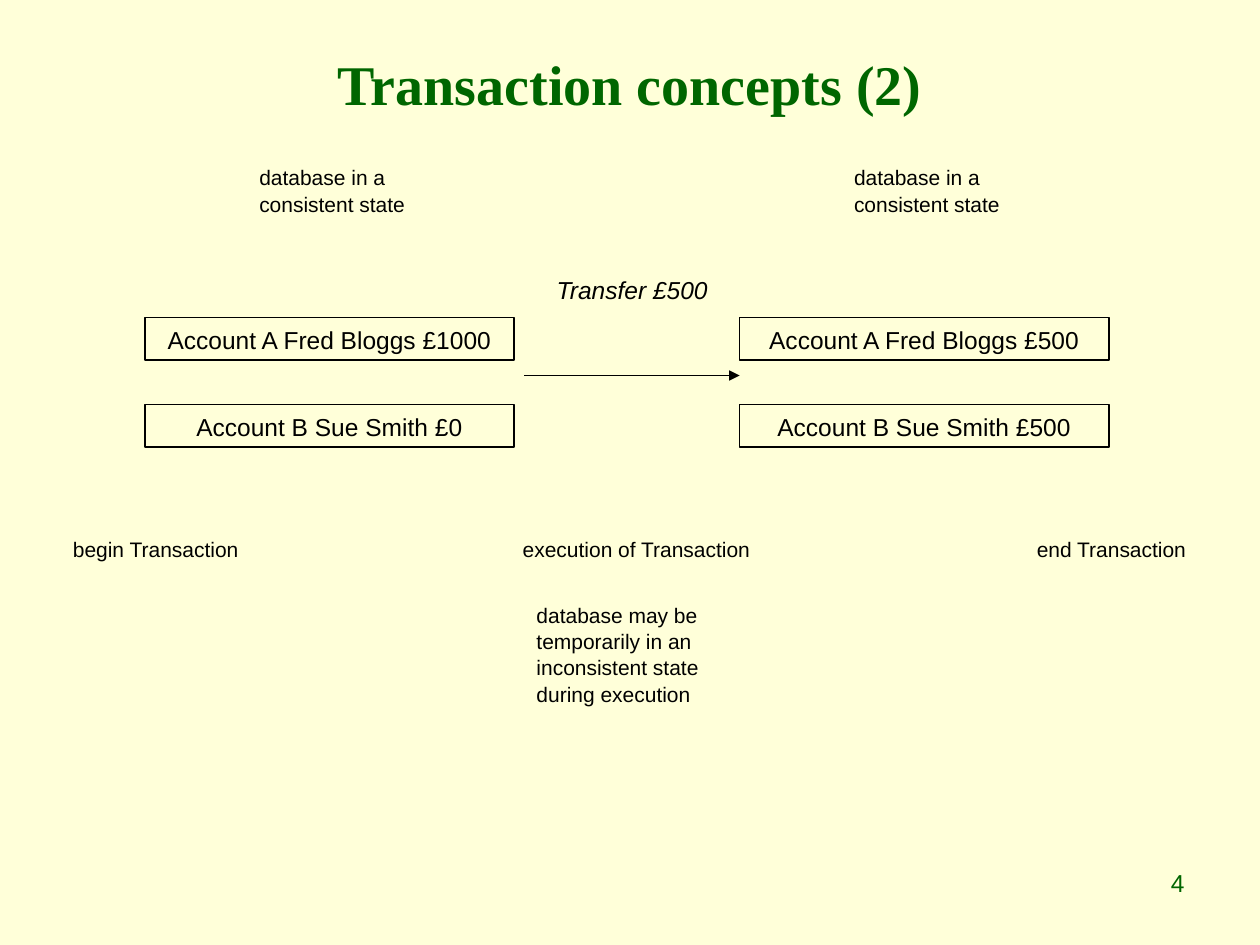
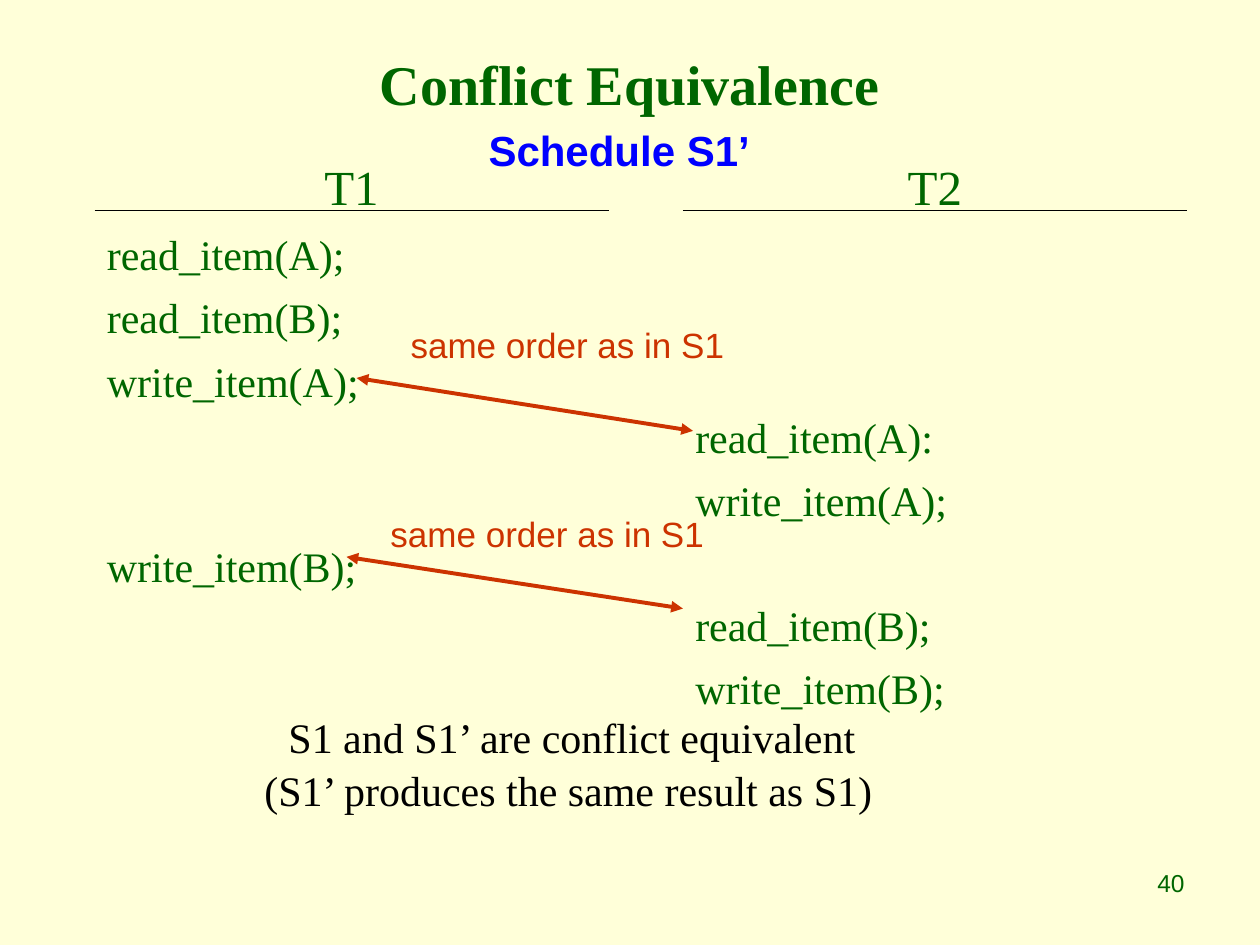
from pptx import Presentation
from pptx.dml.color import RGBColor
from pptx.enum.shapes import MSO_CONNECTOR, MSO_SHAPE
from pptx.enum.text import MSO_ANCHOR, PP_ALIGN
from pptx.oxml.ns import qn
from pptx.util import Inches, Pt
from lxml.etree import SubElement

CREAM = RGBColor(0xFF, 0xFF, 0xD9)
GREEN = RGBColor(0x00, 0x66, 0x00)
BLACK = RGBColor(0x00, 0x00, 0x00)
BLUE = RGBColor(0x00, 0x00, 0xFF)
RED = RGBColor(0xCC, 0x33, 0x00)

SANS, SERIF = "Arial", "Times New Roman"
LEFT, MID, RIGHT = PP_ALIGN.LEFT, PP_ALIGN.CENTER, PP_ALIGN.RIGHT

TITLE = dict(name=SERIF, size=Pt(32), bold=True)
NOTE = dict(name=SANS, size=Pt(12))
LABEL = dict(name=SANS, size=Pt(14))
MOVE = dict(name=SANS, size=Pt(14), italic=True)
HEAD = dict(name=SERIF, size=Pt(28))
STEP = dict(name=SERIF, size=Pt(24))
SUB = dict(name=SANS, size=Pt(24), bold=True)
ORDER = dict(name=SANS, size=Pt(20))

ROW = 34.9  # height of one schedule row in points
GAP = 6     # space above each step in points


def write(slide, at, lines, color=BLACK, wrap=True, edge=False):
    """Place a text box, or an outlined box; lines hold (text, style, align, space)."""
    place = [Inches(n) for n in at]
    if edge:
        shape = slide.shapes.add_shape(MSO_SHAPE.RECTANGLE, *place)
        shape.shadow.inherit = False
        shape.fill.background()
        shape.line.color.rgb = BLACK
        shape.line.width = Pt(1)
    else:
        shape = slide.shapes.add_textbox(*place)
    frame = shape.text_frame
    frame.word_wrap = wrap
    frame.vertical_anchor = MSO_ANCHOR.MIDDLE if edge else MSO_ANCHOR.TOP
    for i, (text, style, align, space) in enumerate(lines):
        para = frame.add_paragraph() if i else frame.paragraphs[0]
        para.alignment = align
        para.space_before = Pt(space)
        para.line_spacing = 1.05
        run = para.add_run()
        run.text = text
        run.font.color.rgb = color
        for key, value in style.items():
            setattr(run.font, key, value)
    return frame


def draw(slide, start, end, color, width, tips=()):
    """Draw a line with a triangle at each end named in tips."""
    ends = [Inches(n) for n in (*start, *end)]
    link = slide.shapes.add_connector(MSO_CONNECTOR.STRAIGHT, *ends)
    link.line.color.rgb = color
    link.line.width = Pt(width)
    for tip in tips:
        SubElement(link.line._get_or_add_ln(), qn(f"a:{tip}"), type="triangle")
    SubElement(link._element.spPr, qn("a:effectLst"))


deck = Presentation()
deck.slide_width, deck.slide_height = Inches(10), Inches(7.5)

# Shared background, title and number
pages = []
for title, number in (("Transaction concepts (2)", "4"), ("Conflict Equivalence", "40")):
    page = deck.slides.add_slide(deck.slide_layouts[6])
    page.background.fill.solid()
    page.background.fill.fore_color.rgb = CREAM
    frame = write(page, (0.5, 0.3, 9, 0.7), [(title, TITLE, MID, 0)], GREEN)
    frame.vertical_anchor = MSO_ANCHOR.MIDDLE
    write(page, (7.17, 6.83, 2.33, 0.52), [(number, LABEL, RIGHT, 0)], GREEN)
    pages.append(page)
bank, plan = pages

# Accounts before and after the transfer
states = (
    (1.15, ("Account A Fred Bloggs £1000", "Account B Sue Smith £0")),
    (5.87, ("Account A Fred Bloggs £500", "Account B Sue Smith £500")),
)
for left, names in states:
    write(bank, (left + 0.81, 1.25, 1.36, 0.7),
          [("database in a consistent state", NOTE, LEFT, 0)])
    for i, name in enumerate(names):
        write(bank, (left, 2.52 + 0.69 * i, 2.93, 0.34),
              [(name, LABEL, MID, 0)], edge=True)
write(bank, (4.32, 2.12, 1.54, 0.34), [("Transfer £500", MOVE, LEFT, 0)])
draw(bank, (4.16, 2.98), (5.87, 2.98), BLACK, 1, ["tailEnd"])

# Phases of the transaction
phases = (
    (0.48, 1.52, "begin Transaction"),
    (4.05, 2.01, "execution of Transaction"),
    (8.13, 1.39, "end Transaction"),
)
for left, width, phase in phases:
    write(bank, (left, 4.2, width, 0.3), [(phase, NOTE, LEFT, 0)], wrap=False)
write(bank, (4.16, 4.72, 1.67, 0.9),
      [("database may be temporarily in an inconsistent state during execution",
        NOTE, LEFT, 0)])

# Schedule columns: each step has its row number
columns = (
    ("T1", 0.75, 4.08, 4.92,
     {1: "read_item(A);", 2: "read_item(B);", 3: "write_item(A);", 6: "write_item(B);"}),
    ("T2", 5.42, 4, 5.67,
     {4: "read_item(A):", 5: "write_item(A);", 7: "read_item(B);", 8: "write_item(B);"}),
)
for name, left, width, height, steps in columns:
    lines = [(name, HEAD, MID, 7)]
    last = 0
    for row, step in steps.items():
        lines.append((step, STEP, LEFT, GAP + ROW * (row - last - 1)))
        last = row
    write(plan, (left, 1.17, width, height), lines, GREEN)
    draw(plan, (left, 1.67), (left + width, 1.67), BLACK, 0.75)

write(plan, (2, 5.58, 5.08, 0.9), [
    ("S1 and S1’ are conflict equivalent", STEP, MID, 0),
    ("(S1’ produces the same result as S1)", STEP, LEFT, 0),
])
write(plan, (3.75, 0.92, 2.33, 0.5), [("Schedule S1’", SUB, MID, 0)], BLUE)

# Conflicting pairs that keep their order
pairs = (
    ((2.83, 3), (5.5, 3.42), (3.16, 2.5)),
    ((5.42, 4.83), (2.75, 4.42), (3, 4)),
)
for start, end, spot in pairs:
    draw(plan, start, end, RED, 2.25, ["headEnd", "tailEnd"])
    write(plan, (*spot, 2.69, 0.44),
          [("same order as in S1", ORDER, LEFT, 0)], RED, wrap=False)

deck.save("out.pptx")
